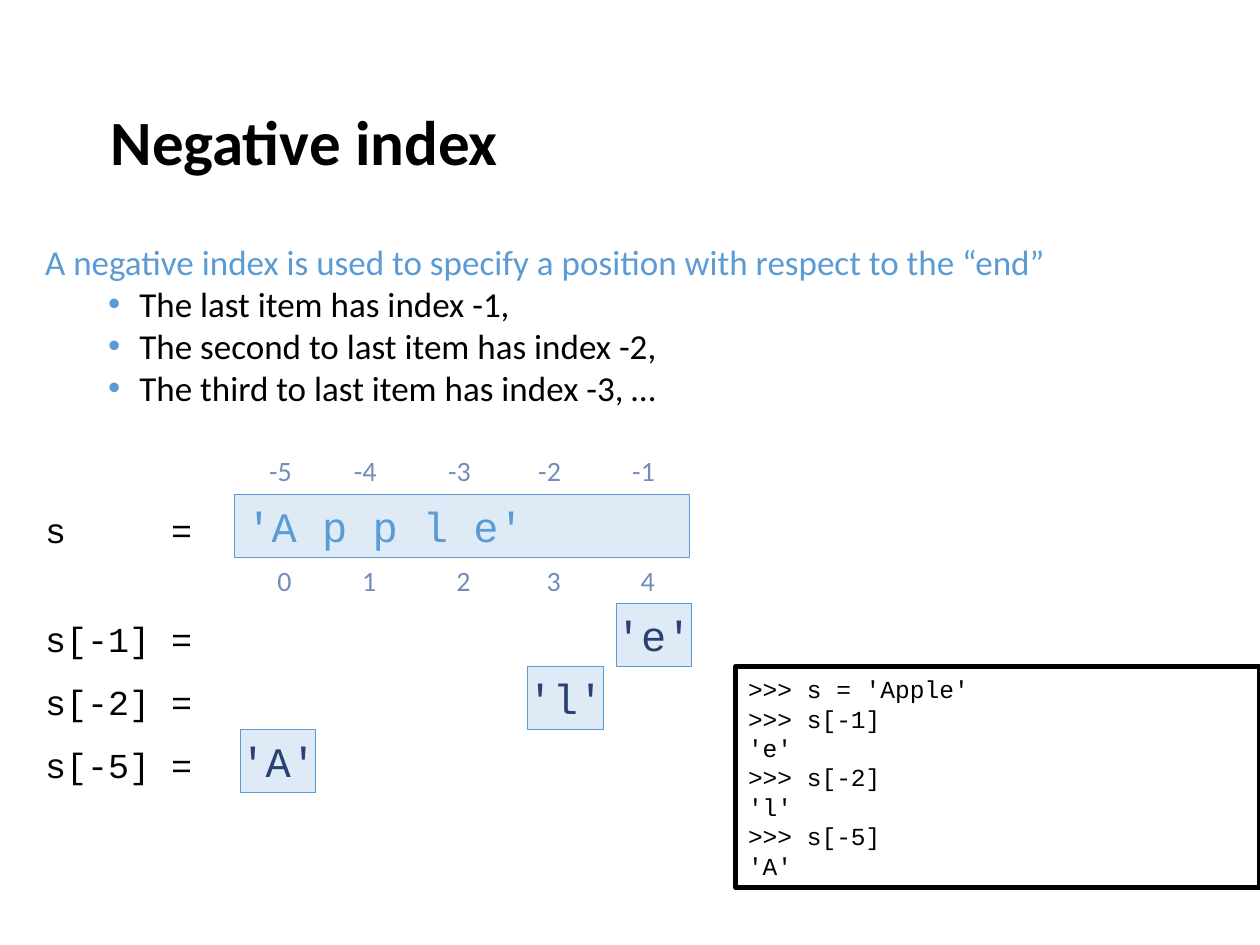
import pptx
import pptx.dml.color
import pptx.enum.shapes
import pptx.enum.text
import pptx.oxml
import pptx.oxml.ns
import pptx.util

Cm = pptx.util.Cm
Pt = pptx.util.Pt
Align = pptx.enum.text.PP_ALIGN
Anchor = pptx.enum.text.MSO_ANCHOR
BLACK, BLUE, PALE, NAVY, GREY_BLUE = "000000", "5B9BD5", "DEEBF7", "294171", "748CBC"
BODY, CODE = "Calibri", "Courier New"


def colour(value):
    return pptx.dml.color.RGBColor.from_string(value)


def add_property(paragraph, tag, **attributes):
    element = pptx.oxml.parse_xml(f"<a:{tag} {pptx.oxml.ns.nsdecls('a')}/>")
    for name, value in attributes.items():
        element.set(name, value)
    paragraph._p.get_or_add_pPr().append(element)
    return element


def add_bullet(paragraph):
    paragraph.level = 1
    properties = paragraph._p.get_or_add_pPr()
    properties.set("marL", str(Cm(1.9)))
    properties.set("indent", str(Cm(-0.63)))
    bullet_colour = add_property(paragraph, "buClr")
    bullet_colour.append(
        pptx.oxml.parse_xml(f'<a:srgbClr {pptx.oxml.ns.nsdecls("a")} val="{BLUE}"/>'))
    add_property(paragraph, "buFont", typeface="Arial")
    add_property(paragraph, "buChar", char="•")


def write(box, text, font=BODY, size=20, ink=BLACK, bold=False, align=Align.LEFT,
          anchor=Anchor.MIDDLE, wrap=True, bullet_ink=None):
    frame = box.text_frame
    frame.word_wrap = wrap
    frame.vertical_anchor = anchor
    for number, line in enumerate(text.split("\n")):
        paragraph = frame.paragraphs[0] if number == 0 else frame.add_paragraph()
        paragraph.alignment = align
        bulleted = bullet_ink and number > 0
        if bulleted:
            add_bullet(paragraph)
        span = paragraph.add_run()
        span.text = line
        span.font.name = font
        span.font.size = Pt(size)
        span.font.bold = bold
        span.font.color.rgb = colour(bullet_ink if bulleted else ink)


class SlideBuilder:
    def __init__(self, deck):
        self.page = deck.slides.add_slide(deck.slide_layouts[6])

    def text(self, left, top, width, height, text, **style):
        box = self.page.shapes.add_textbox(Cm(left), Cm(top), Cm(width), Cm(height))
        write(box, text, **style)
        return box

    def panel(self, left, top, width, height, text, fill=PALE, line=BLUE, weight=0.5, **style):
        box = self.page.shapes.add_shape(
            pptx.enum.shapes.MSO_SHAPE.RECTANGLE, Cm(left), Cm(top), Cm(width), Cm(height))
        box.shadow.inherit = False
        box.fill.solid()
        box.fill.fore_color.rgb = colour(fill)
        box.line.color.rgb = colour(line)
        box.line.width = Pt(weight)
        write(box, text, font=CODE, **style)

    def assignment(self, top, text):
        box = self.text(0.66, top, 3.6, 1.12, text, font=CODE)
        tabs = add_property(box.text_frame.paragraphs[0], "tabLst")
        tabs.append(pptx.oxml.parse_xml(
            f'<a:tab {pptx.oxml.ns.nsdecls("a")} pos="{Cm(2.54)}" algn="l"/>'))

    def index_row(self, top, shift, first):
        columns = [(5.1, 1.27), (6.63, 1.63), (8.53, 1.63), (10.41, 1.5), (12.42, 1.27)]
        for index, (left, width) in enumerate(columns, first):
            self.text(left + shift, top, width, 0.94, str(index),
                      size=16, ink=GREY_BLUE, align=Align.CENTER)


def main():
    deck = pptx.Presentation()
    deck.slide_width, deck.slide_height = Cm(25.4), Cm(19.05)
    slide = SlideBuilder(deck)

    title = slide.text(1.98, 0, 21.59, 4.09, "Negative index",
                       size=36, bold=True, anchor=Anchor.BOTTOM)
    title.text_frame.margin_bottom = Cm(0.5)

    slide.text(0.66, 4.7, 23.55, 3.68,
               "A negative index is used to specify a position with respect to the “end”\n"
               "The last item has index -1,\n"
               "The second to last item has index -2,\n"
               "The third to last item has index -3, …", ink=BLUE, bullet_ink=BLACK)

    slide.index_row(9.02, -0.08, -5)
    slide.assignment(10.11, "s\t=")
    slide.panel(4.72, 9.96, 9.19, 1.27, "'A p p l e'",
                size=24, ink=BLUE, align=Align.JUSTIFY)
    slide.index_row(11.23, 0, 0)

    lookups = [(-1, "'e'", 12.42), (-2, "'l'", 10.64), (-5, "'A'", 4.85)]
    session = [">>> s = 'Apple'"]
    for row, (index, letter, left) in enumerate(lookups):
        top = 12.17 + row * 1.27
        slide.assignment(top + 0.15, f"s[{index}] =")
        slide.panel(left, top, 1.52, 1.27, letter,
                    size=24, ink=NAVY, align=Align.CENTER, wrap=False)
        session += [f">>> s[{index}]", letter]

    slide.panel(14.83, 13.44, 10.57, 4.45, "\n".join(session),
                fill="FFFFFF", line=BLACK, weight=3, size=14)
    deck.save("out.pptx")


if __name__ == "__main__":
    main()
